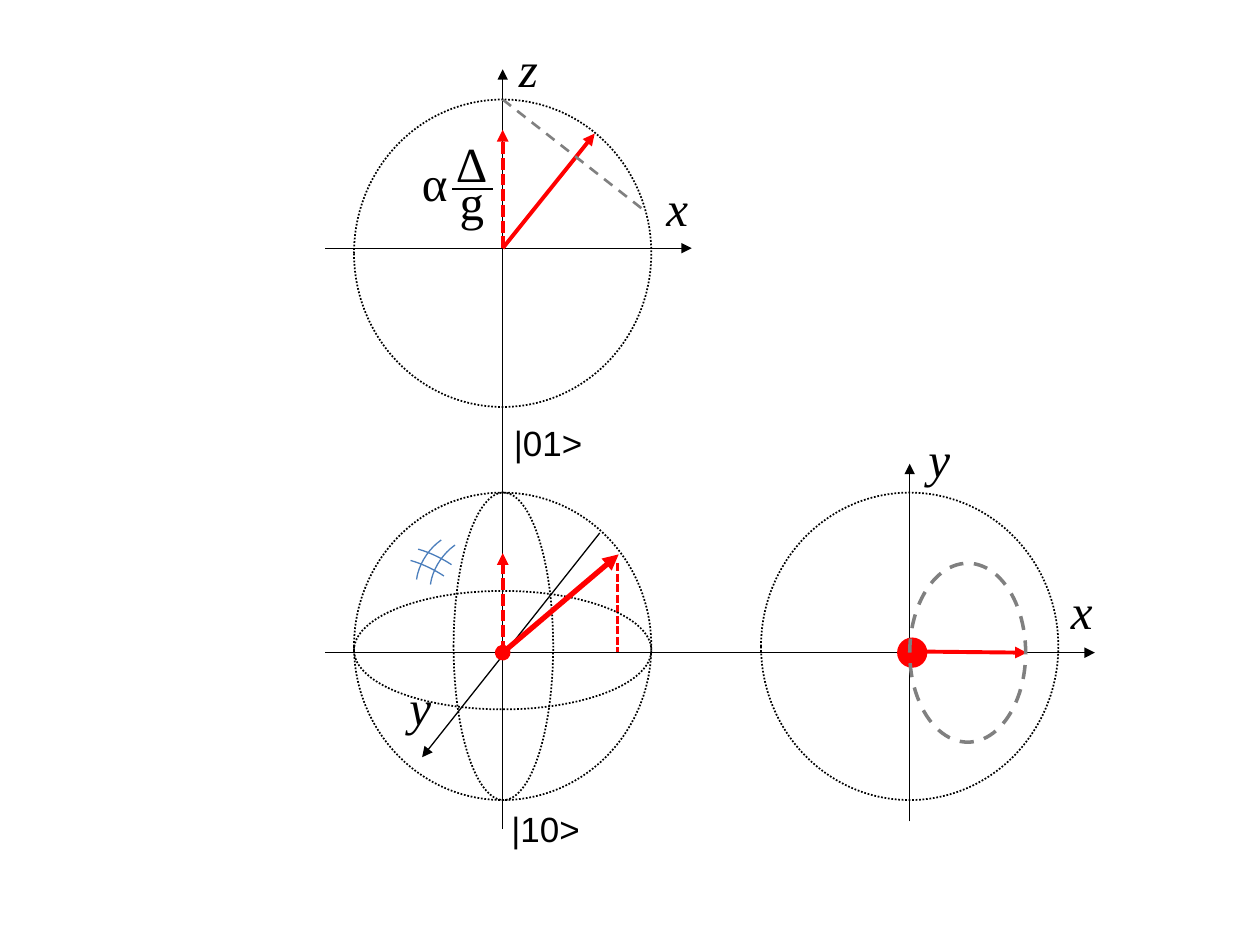
from dataclasses import dataclass
from pptx import Presentation
from pptx.dml.color import RGBColor
from pptx.enum.dml import MSO_LINE as Dash
from pptx.enum.shapes import MSO_CONNECTOR, MSO_SHAPE as Shape
from pptx.enum.text import MSO_AUTO_SIZE
from pptx.oxml.ns import qn
from pptx.util import Inches, Pt
from lxml.etree import SubElement


@dataclass(frozen=True)
class Theme:
    """Colours, fonts and type sizes."""
    ink: str = "000000"
    vector: str = "FF0000"
    cut: str = "808080"
    patch: str = "4B7EBC"
    symbol_font: str = "Times New Roman"
    state_font: str = "Arial"
    symbol_size: int = 28
    state_size: int = 20


THEME = Theme()
GLOBE = (2.36, 2.44)


@dataclass
class Panel:
    """Drawing area whose parts are placed from its left top corner."""
    shapes: object
    left: float
    top: float

    def place(self, x, y):
        """Turn a point of the panel into slide lengths."""
        return Inches(self.left + x), Inches(self.top + y)

    def stroke(self, part, color, width, dash=None):
        """Set the outline of a part."""
        part.line.color.rgb = RGBColor.from_string(color)
        part.line.width = Pt(width)
        if dash:
            part.line.dash_style = dash

    def line(self, start, end, color=THEME.ink, width=0.75, dash=None, head=None, tail=None):
        """Draw a line with optional ends."""
        rule = self.shapes.add_connector(
            MSO_CONNECTOR.STRAIGHT, *self.place(*start), *self.place(*end))
        self.stroke(rule, color, width, dash)
        outline = rule.line._get_or_add_ln()
        for tag, kind in (("a:headEnd", head), ("a:tailEnd", tail)):
            if kind:
                SubElement(outline, qn(tag), type=kind)
        SubElement(rule._element.spPr, qn("a:effectLst"))

    def arrow(self, start, end, color=THEME.ink, width=0.75, dash=None, head=None):
        """Draw a line that ends in a triangle."""
        self.line(start, end, color, width, dash, head, "triangle")

    def outline(self, box, color=THEME.ink, width=1, dash=Dash.ROUND_DOT, kind=Shape.OVAL):
        """Draw an unfilled shape."""
        x, y, w, h = box
        curve = self.shapes.add_shape(kind, *self.place(x, y), Inches(w), Inches(h))
        curve.shadow.inherit = False
        curve.fill.background()
        self.stroke(curve, color, width, dash)
        return curve

    def label(self, text, box, font=THEME.symbol_font, size=THEME.symbol_size, italic=False):
        """Write one unwrapped label."""
        x, y, w, h = box
        frame = self.shapes.add_textbox(*self.place(x, y), Inches(w), Inches(h)).text_frame
        frame.word_wrap = False
        frame.auto_size = MSO_AUTO_SIZE.SHAPE_TO_FIT_TEXT
        paragraph = frame.paragraphs[0]
        paragraph.text = text
        paragraph.font.name = font
        paragraph.font.size = Pt(size)
        paragraph.font.italic = italic
        paragraph.font.color.rgb = RGBColor.from_string(THEME.ink)

    def axis_name(self, text, x, y, width=0.38):
        """Name an axis."""
        self.label(text, (x, y, width, 0.57), italic=True)

    def state(self, text, x, y):
        """Name a pole of the sphere."""
        self.label(text, (x, y, 0.75, 0.44), THEME.state_font, THEME.state_size)


def draw_sphere(shapes, left, top):
    """Draw the sphere with its state vector."""
    sphere = Panel(shapes, left, top)
    center, tip = (1.18, 1.27), (2.1, 0.49)
    sphere.line((2.09, 0.56), (2.09, 1.27), THEME.vector, 1.5, Dash.SQUARE_DOT)
    for ring in ((0, 0.78, 2.36, 0.94), (0.79, 0, 0.79, 2.44), (0, 0, *GLOBE)):
        sphere.outline(ring)
    sphere.line((-0.23, 1.27), (2.78, 1.27))
    sphere.line((0.54, 2.1), (1.95, 0.32), head="triangle")
    sphere.line((1.18, 2.67), (1.18, -0.47))
    sphere.arrow(center, tip, THEME.vector, 3, head="oval")
    for box, turn in (((0.54, 0.29, 0.39, 0.63), 214.8), ((0.65, 0.33, 0.39, 0.63), 214.8),
                      ((0.47, 0.26, 0.27, 0.74), 296.3), ((0.41, 0.35, 0.27, 0.74), 296.3)):
        arc = sphere.outline(box, THEME.patch, 0.75, None, Shape.ARC)
        arc.rotation = turn
        arc.adjustments[0], arc.adjustments[1] = 183.514, 26.737
    sphere.axis_name("y", 0.34, 1.41)
    sphere.state("|01>", 1.17, -0.61)
    sphere.state("|10>", 1.15, 2.45)
    sphere.arrow(center, (1.18, 0.48), THEME.vector, 2.25, Dash.SQUARE_DOT)


def draw_side_view(shapes, left, top):
    """Draw the x-z view with the fraction label."""
    side = Panel(shapes, left, top)
    center = (1.18, 1.18)
    side.outline((0, 0, *GLOBE))
    side.arrow((-0.23, 1.18), (2.68, 1.18))
    side.arrow((1.18, 2.91), (1.18, -0.24))
    side.axis_name("x", 2.38, 0.57)
    side.axis_name("z", 1.21, -0.53, 0.35)
    side.arrow(center, (1.18, 0.24), THEME.vector, 2.25, Dash.SQUARE_DOT)
    side.arrow(center, (1.91, 0.27), THEME.vector, 2.25)
    side.line((1.18, 0), (2.29, 0.87), THEME.cut, 1.5, Dash.DASH)
    fraction = Panel(shapes.add_group_shape().shapes, left + 0.71, top + 0.22)
    fraction.label("Δ", (0, 0, 0.45, 0.57))
    fraction.line((0.07, 0.49), (0.39, 0.49))
    fraction.label("g", (0.03, 0.3, 0.4, 0.57))
    side.label("α", (0.44, 0.37, 0.41, 0.57))


def draw_top_view(shapes, left, top):
    """Draw the x-y view with the projected vector."""
    view = Panel(shapes, left, top)
    view.outline((0, 0, *GLOBE))
    view.arrow((-0.5, 1.27), (2.65, 1.27))
    view.arrow((1.18, 2.61), (1.18, -0.23))
    view.axis_name("x", 2.36, 0.65)
    view.axis_name("y", 1.23, -0.56)
    origin = view.outline((1.08, 1.15, 0.24, 0.24))
    origin.fill.solid()
    origin.fill.fore_color.rgb = RGBColor.from_string(THEME.vector)
    origin.line.fill.background()
    view.arrow((1.14, 1.26), (2.11, 1.27), THEME.vector, 2.25)
    view.outline((1.18, 0.56, 0.92, 1.42), THEME.cut, 2, Dash.DASH)


def main():
    """Build the slide."""
    deck = Presentation()
    deck.slide_width, deck.slide_height = Inches(10), Inches(7.5)
    shapes = deck.slides.add_slide(deck.slide_layouts[6]).shapes
    draw_sphere(shapes, 2.81, 3.91)
    draw_side_view(shapes, 2.81, 0.79)
    draw_top_view(shapes, 6.04, 3.91)
    deck.save("out.pptx")


main()
